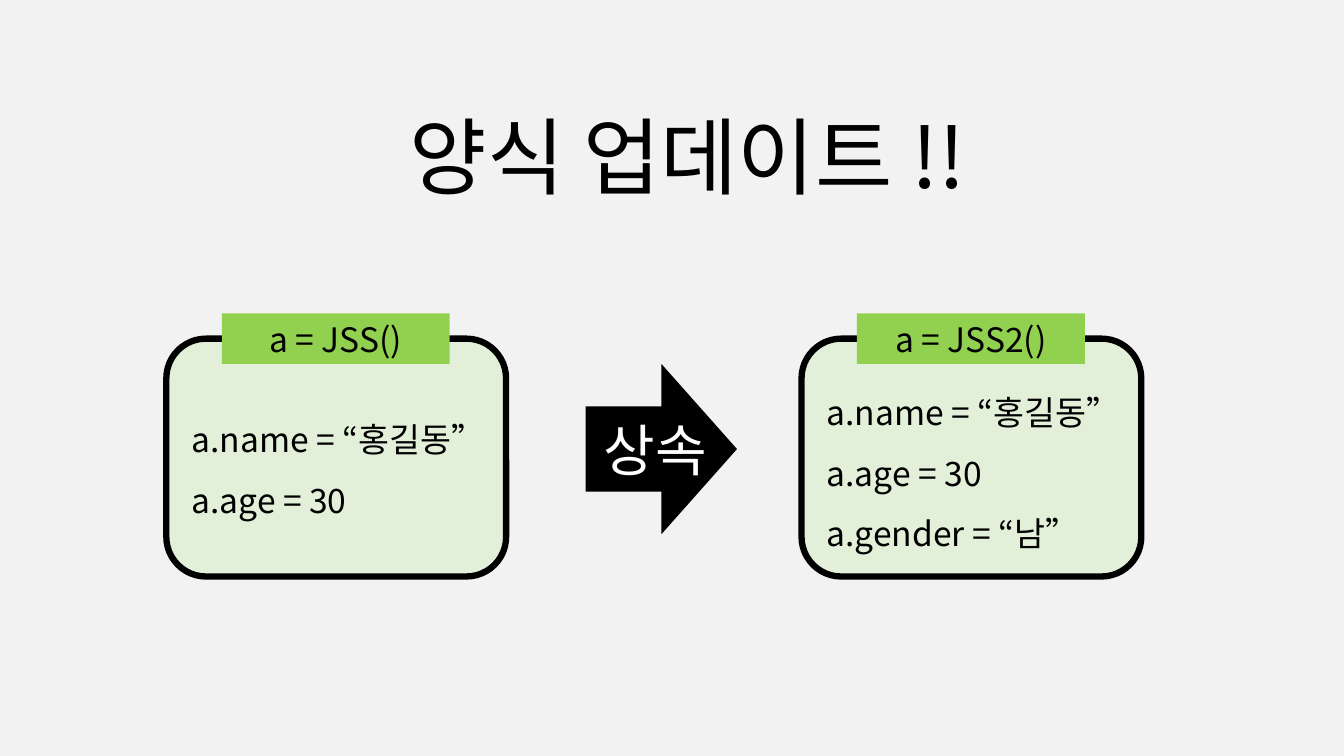
import pptx
import pptx.util
import pptx.dml.color
import pptx.enum.shapes
import pptx.enum.text
import pptx.oxml.ns
import lxml.etree
from dataclasses import dataclass

Inches = pptx.util.Inches
SHAPE = pptx.enum.shapes.MSO_SHAPE
ALIGN = pptx.enum.text.PP_ALIGN
ANCHOR = pptx.enum.text.MSO_ANCHOR
FONT = "Noto Sans CJK KR"
COLORS = {"back": "F2F2F2", "card": "E2F0D9", "tag": "92D050",
          "ink": "000000", "light": "FFFFFF"}


@dataclass
class Card:
    left: float
    tag: str
    lines: list[str]
    top: float  # top of the field list


CARDS = [
    Card(1.65, "a = JSS()", ["a.name = “홍길동”", "a.age = 30"], 3.91),
    Card(7.95, "a = JSS2()",
         ["a.name = “홍길동”", "a.age = 30", "a.gender = “남”"], 3.64),
]


def color(name: str) -> pptx.dml.color.RGBColor:
    return pptx.dml.color.RGBColor.from_string(COLORS[name])


def write(shape, lines: list[str], size: int, ink: str = "ink",
          align=ALIGN.CENTER, space: float = 1.0, anchor=ANCHOR.TOP) -> None:
    frame = shape.text_frame
    frame.word_wrap = True
    frame.auto_size = pptx.enum.text.MSO_AUTO_SIZE.NONE
    frame.vertical_anchor = anchor
    frame.text = "\n".join(lines)
    for para in frame.paragraphs:
        para.alignment = align
        para.line_spacing = space
        font = para.font
        font.size = pptx.util.Pt(size)
        font.name = FONT
        font.color.rgb = color(ink)
        # Hangul takes its font from a:ea
        qn = pptx.oxml.ns.qn
        latin = para._p.find(".//" + qn("a:latin"))
        east = lxml.etree.Element(qn("a:ea"), typeface=FONT)
        latin.addnext(east)


def place(shape, left: float, top: float, width: float, height: float) -> None:
    shape.left, shape.top = Inches(left), Inches(top)
    shape.width, shape.height = Inches(width), Inches(height)


def block(kind, left: float, top: float, width: float, height: float,
          fill: str, line: float = 0):
    shape = slide.shapes.add_shape(
        kind, Inches(left), Inches(top), Inches(width), Inches(height))
    shape.shadow.inherit = False
    shape.fill.solid()
    shape.fill.fore_color.rgb = color(fill)
    if line:
        shape.line.color.rgb = color("ink")
        shape.line.width = pptx.util.Pt(line)
    else:
        shape.line.fill.background()
    return shape


def label(left: float, top: float, width: float, height: float):
    return slide.shapes.add_textbox(
        Inches(left), Inches(top), Inches(width), Inches(height))


def draw(card: Card) -> None:
    block(SHAPE.ROUNDED_RECTANGLE, card.left, 3.36, 3.37, 2.36, "card", 4.5)
    body = label(card.left + 0.15, card.top, 3.41, 0.61 * len(card.lines) + 0.04)
    write(body, card.lines, 24, align=ALIGN.LEFT, space=1.5)
    tag = block(SHAPE.RECTANGLE, card.left + 0.55, 3.11, 2.26, 0.5, "tag")
    write(tag, [card.tag], 24, anchor=ANCHOR.MIDDLE)


deck = pptx.Presentation()
deck.slide_width, deck.slide_height = Inches(13.33), Inches(7.5)
slide = deck.slides.add_slide(deck.slide_layouts[5])
slide.background.fill.solid()
slide.background.fill.fore_color.rgb = color("back")

# Title
title = slide.shapes.title
place(title, 3.1, 0.99, 7.44, 1.11)
write(title, ["양식 업데이트 !!"], 60)

# Class cards
for card in CARDS:
    draw(card)

# Inheritance arrow
block(SHAPE.RIGHT_ARROW, 5.81, 3.61, 1.5, 1.69, "ink")
write(label(5.52, 4.07, 1.96, 0.77), ["상속"], 40, ink="light")

deck.save("out.pptx")
